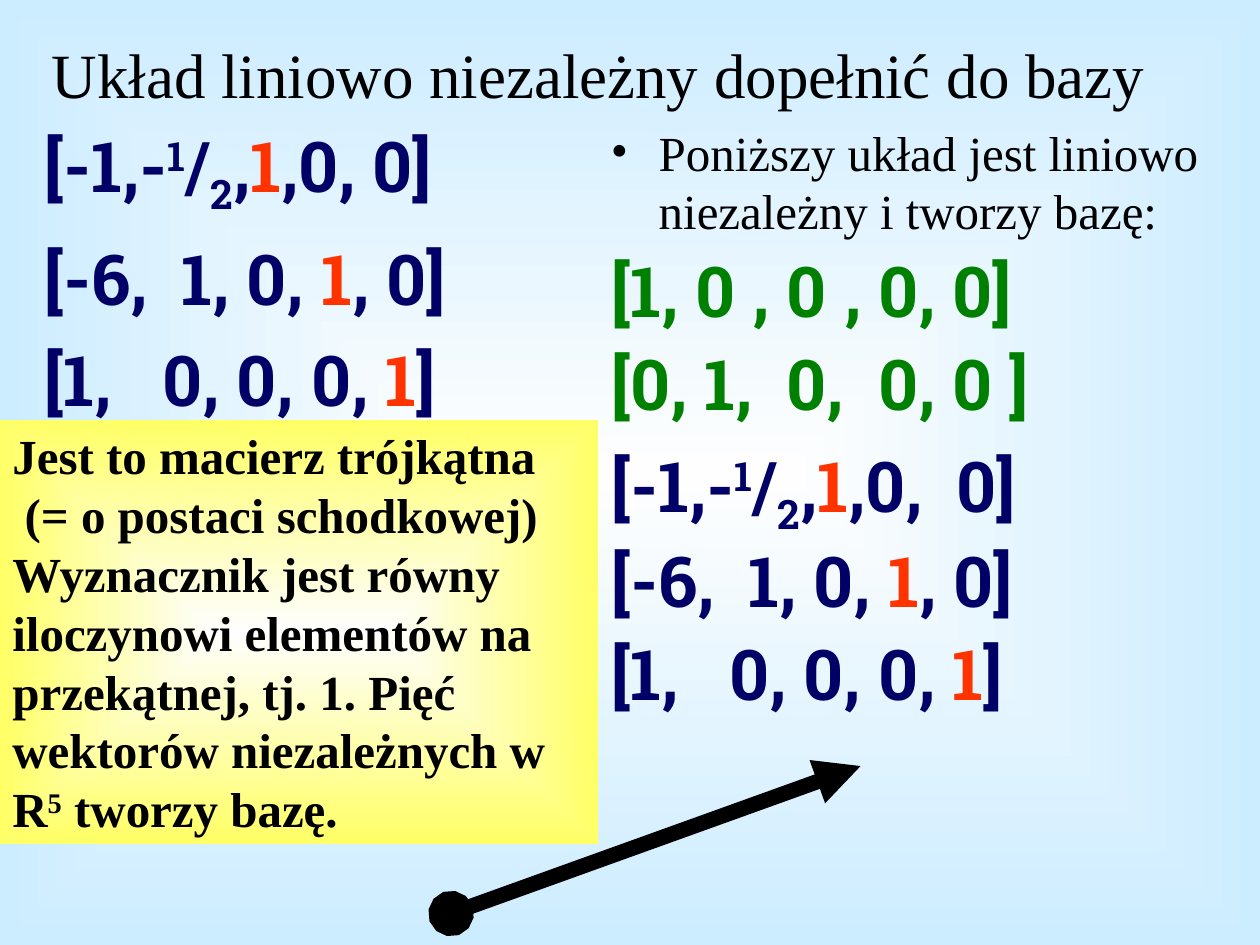
"""Build a slide on extending a linearly independent set to a basis."""
from dataclasses import dataclass

import pptx
import pptx.dml.color
import pptx.enum.shapes
import pptx.enum.text
import pptx.oxml
import pptx.oxml.ns
import pptx.util
from pptx.util import Inches

SERIF, SLAB = "Times New Roman", "Roboto Slab"
BLACK, NAVY, RED, GREEN = "000000", "000066", "FF3300", "008000"
SUPERSCRIPT, SUBSCRIPT = 30, -25


@dataclass(frozen=True)
class Piece:
    text: str
    color: str = NAVY
    baseline: int = 0


@dataclass(frozen=True)
class Style:
    font: str
    size: int
    bold: bool = False


@dataclass(frozen=True)
class Line:
    pieces: tuple[Piece, ...]
    style: Style
    space_before: int = 10
    line_spacing: float = 1.0
    indent: float = 0.38
    bullet: str = ""


TITLE = Style(SERIF, 36)
PROSE = Style(SERIF, 28)
NOTE = Style(SERIF, 28, True)
VECTOR = Style(SLAB, 40, True)


def color_of(value: str) -> pptx.dml.color.RGBColor:
    return pptx.dml.color.RGBColor.from_string(value)


def make_element(tag: str, attributes: str = "", content: str = ""):
    namespace = pptx.oxml.ns.nsdecls("a")
    return pptx.oxml.parse_xml(f"<a:{tag} {namespace} {attributes}>{content}</a:{tag}>")


def set_radial_gradient(properties, edge: str) -> None:
    stops = "".join(
        f'<a:gs pos="{position}"><a:srgbClr val="{color}"/></a:gs>'
        for position, color in ((0, "FEFEFE"), (100000, edge))
    )
    rectangle = '<a:fillToRect l="50000" t="50000" r="50000" b="50000"/>'
    gradient = make_element(
        "gradFill", 'rotWithShape="1"',
        f'<a:gsLst>{stops}</a:gsLst><a:path path="rect">{rectangle}</a:path>',
    )
    properties.replace(properties.xpath("./a:solidFill")[0], gradient)


def add_piece(paragraph, piece: Piece, style: Style) -> None:
    run = paragraph.add_run()
    run.text = piece.text
    run.font.name = style.font
    run.font.size = pptx.util.Pt(style.size)
    run.font.bold = style.bold
    run.font.color.rgb = color_of(piece.color)
    if piece.baseline:
        run.font._element.set("baseline", str(piece.baseline * 1000))


def write_lines(frame, lines: list[Line]) -> None:
    frame.word_wrap = True
    for index, line in enumerate(lines):
        paragraph = frame.add_paragraph() if index else frame.paragraphs[0]
        properties = paragraph._p.get_or_add_pPr()
        if line.indent:
            properties.set("marL", str(Inches(line.indent)))
            properties.set("indent", str(-Inches(line.indent)))
        if line.bullet:
            properties.append(make_element("buFont", f'typeface="{line.style.font}"'))
            properties.append(make_element("buChar", f'char="{line.bullet}"'))
        paragraph.alignment = pptx.enum.text.PP_ALIGN.LEFT
        paragraph.line_spacing = line.line_spacing
        paragraph.space_before = pptx.util.Pt(line.space_before if index else 0)
        for piece in line.pieces:
            add_piece(paragraph, piece, line.style)


def vector_lines(fraction_end: str, line_spacing: float) -> list[Line]:
    rows = (
        (Piece("[-1,-"), Piece("1", baseline=SUPERSCRIPT), Piece("/"),
         Piece("2", baseline=SUBSCRIPT), Piece(","), Piece("1", RED), Piece(fraction_end)),
        (Piece("[-6,  1, 0, "), Piece("1", RED), Piece(", 0]")),
        (Piece("[1,   0, 0, 0, "), Piece("1", RED), Piece("]")),
    )
    return [Line(row, VECTOR, line_spacing=line_spacing) for row in rows]


def add_title(slide, text: str) -> None:
    title = slide.shapes.title
    title.left, title.top = Inches(0.25), Inches(0.25)
    title.width, title.height = Inches(9), Inches(0.67)
    frame = title.text_frame
    frame.word_wrap = True
    frame.auto_size = pptx.enum.text.MSO_AUTO_SIZE.NONE
    frame.vertical_anchor = pptx.enum.text.MSO_ANCHOR.MIDDLE
    paragraph = frame.paragraphs[0]
    paragraph.alignment = pptx.enum.text.PP_ALIGN.CENTER
    add_piece(paragraph, Piece(text, BLACK), TITLE)


def add_column(slide, left: float, width: float, height: float, lines: list[Line]) -> None:
    box = slide.shapes.add_textbox(Inches(left), Inches(0.92), Inches(width), Inches(height))
    write_lines(box.text_frame, lines)


def add_note(slide) -> None:
    shape = slide.shapes.add_shape(
        pptx.enum.shapes.MSO_SHAPE.RECTANGLE, 0, Inches(3.33), Inches(4.75), Inches(3.37)
    )
    shape.shadow.inherit = False
    shape.line.fill.background()
    shape.fill.solid()
    set_radial_gradient(shape.element.spPr, "FFFF66")
    frame = shape.text_frame
    frame.vertical_anchor = pptx.enum.text.MSO_ANCHOR.TOP
    frame.auto_size = pptx.enum.text.MSO_AUTO_SIZE.SHAPE_TO_FIT_TEXT
    pieces = (
        Piece("Jest to macierz trójkątna\v (= o postaci schodkowej) Wyznacznik jest równy "
              "iloczynowi elementów na przekątnej, tj. 1. Pięć wektorów niezależnych w R", BLACK),
        Piece("5", BLACK, SUPERSCRIPT),
        Piece(" tworzy bazę.", BLACK),
    )
    opening, rest = pieces[0].text.split("\v")
    write_lines(frame, [Line((Piece(opening, BLACK),), NOTE, indent=0)])
    paragraph = frame.paragraphs[0]
    paragraph.add_line_break()
    for piece in (Piece(rest, BLACK), *pieces[1:]):
        add_piece(paragraph, piece, NOTE)


def add_arrow(slide) -> None:
    arrow = slide.shapes.add_connector(
        pptx.enum.shapes.MSO_CONNECTOR.STRAIGHT,
        Inches(3.58), Inches(7.25), Inches(6.83), Inches(6.08),
    )
    arrow.line.color.rgb = color_of(BLACK)
    arrow.line.width = pptx.util.Pt(8.75)
    outline = arrow.line._get_or_add_ln()
    outline.append(make_element("headEnd", 'type="oval"'))
    outline.append(make_element("tailEnd", 'type="triangle"'))
    arrow._element.spPr.append(make_element("effectLst"))


def main() -> None:
    presentation = pptx.Presentation()
    presentation.slide_width, presentation.slide_height = Inches(10), Inches(7.5)
    slide = presentation.slides.add_slide(presentation.slide_layouts[5])
    slide.background.fill.solid()
    set_radial_gradient(slide.element.xpath(".//p:bgPr")[0], "CCECFF")

    add_title(slide, "Układ liniowo niezależny dopełnić do bazy")
    add_column(slide, 0.25, 4.67, 2.58, vector_lines(",0, 0]", 1.0))
    statement = Piece("Poniższy układ jest liniowo niezależny i tworzy bazę:", BLACK)
    added_vectors = [
        Line((Piece(text, GREEN),), VECTOR, line_spacing=0.9)
        for text in ("[1, 0 , 0 , 0, 0]", "[0, 1,  0,  0, 0 ]")
    ]
    basis = [Line((statement,), PROSE, bullet="•"), *added_vectors, *vector_lines(",0,  0]", 0.9)]
    add_column(slide, 4.75, 5, 5.08, basis)
    add_note(slide)
    add_arrow(slide)
    presentation.save("out.pptx")


if __name__ == "__main__":
    main()
